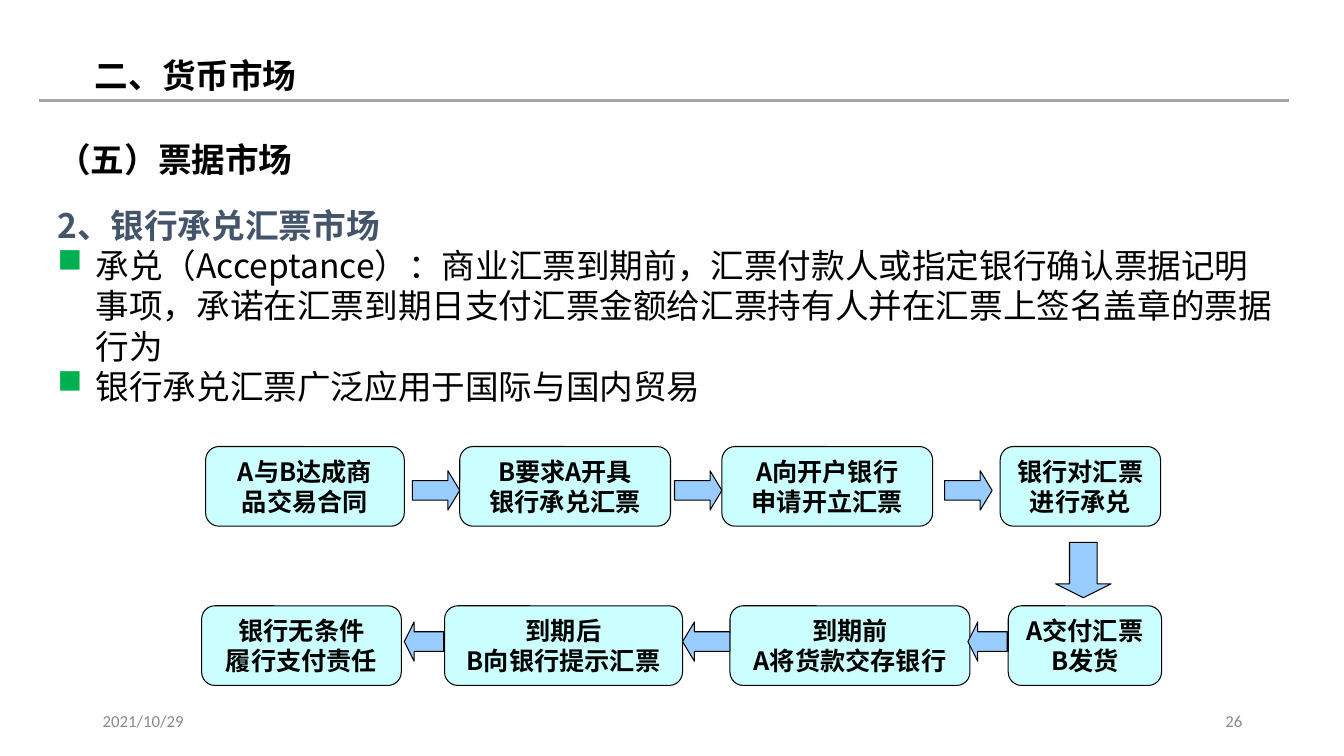
from lxml import etree
from pptx import Presentation
from pptx.dml.color import RGBColor
from pptx.enum.shapes import MSO_CONNECTOR, MSO_SHAPE
from pptx.enum.text import MSO_ANCHOR, PP_ALIGN
from pptx.oxml.ns import qn
from pptx.util import Pt

BLACK = RGBColor(0x00, 0x00, 0x00)
SLATE = RGBColor(0x44, 0x54, 0x6A)
GREY = RGBColor(0x89, 0x89, 0x89)
RULE_GREY = RGBColor(0xA6, 0xA6, 0xA6)
BULLET_GREEN = RGBColor(0x00, 0xB0, 0x50)
STEP_FILL = RGBColor(0xCC, 0xFF, 0xFF)
ARROW_FILL = RGBColor(0x99, 0xCC, 0xFF)

ROUNDED = MSO_SHAPE.ROUNDED_RECTANGLE
RIGHT_ARROW = MSO_SHAPE.RIGHT_ARROW
LEFT_ARROW = MSO_SHAPE.LEFT_ARROW
DOWN_ARROW = MSO_SHAPE.DOWN_ARROW
STRAIGHT = MSO_CONNECTOR.STRAIGHT
LEFT, CENTER, RIGHT = PP_ALIGN.LEFT, PP_ALIGN.CENTER, PP_ALIGN.RIGHT
TOP, MIDDLE = MSO_ANCHOR.TOP, MSO_ANCHOR.MIDDLE

EMU_PER_PX = 9144
CHINESE_FONT = "Noto Sans CJK SC"
LATIN_FONT = "Calibri"
STEP_HEIGHT = 79


def px(*lengths):
    return [length * EMU_PER_PX for length in lengths]


class SlideBuilder:
    def __init__(self, presentation):
        self.slide = presentation.slides.add_slide(presentation.slide_layouts[5])

    def style(self, paragraph, size, color=BLACK, bold=False, font=CHINESE_FONT):
        for run in paragraph.runs:
            run.font.size = Pt(size)
            run.font.bold = bold
            run.font.color.rgb = color
            run.font.name = font
            east_asian = etree.SubElement(run.font._element, qn("a:ea"))
            east_asian.set("typeface", font)

    def title(self, text, box):
        title = self.slide.shapes.title
        title.left, title.top, title.width, title.height = px(*box)
        frame = title.text_frame
        frame.text = text
        frame.vertical_anchor = TOP
        frame.paragraphs[0].alignment = LEFT
        self.style(frame.paragraphs[0], 24, bold=True)

    def text(self, text, box, size, color=BLACK, bold=False, font=CHINESE_FONT,
             alignment=LEFT, anchor=TOP, wrap=True):
        frame = self.slide.shapes.add_textbox(*px(*box)).text_frame
        frame.word_wrap = wrap
        frame.vertical_anchor = anchor
        frame.text = text
        for paragraph in frame.paragraphs:
            paragraph.alignment = alignment
            self.style(paragraph, size, color, bold, font)
        return frame

    def bullet(self, paragraph, indent):
        properties = paragraph._p.get_or_add_pPr()
        properties.set("marL", str(indent * EMU_PER_PX))
        properties.set("indent", str(-indent * EMU_PER_PX))
        color = etree.SubElement(properties, qn("a:buClr"))
        etree.SubElement(color, qn("a:srgbClr")).set("val", str(BULLET_GREEN))
        etree.SubElement(properties, qn("a:buChar")).set("char", "■")

    def rule(self, left, right, y):
        line = self.slide.shapes.add_connector(STRAIGHT, *px(left, y, right, y))
        line.line.color.rgb = RULE_GREY
        line.line.width = Pt(2.25)
        etree.SubElement(line._element.spPr, qn("a:effectLst"))

    def shape(self, kind, box, fill):
        shape = self.slide.shapes.add_shape(kind, *px(*box))
        shape.shadow.inherit = False
        shape.fill.solid()
        shape.fill.fore_color.rgb = fill
        shape.line.color.rgb = BLACK
        shape.line.width = Pt(0.75)
        return shape

    def step(self, text, left, top, width):
        frame = self.shape(ROUNDED, (left, top, width, STEP_HEIGHT), STEP_FILL).text_frame
        frame.word_wrap = False
        frame.vertical_anchor = MIDDLE
        frame.margin_left, frame.margin_right = px(2, 2)
        frame.text = text
        for paragraph in frame.paragraphs:
            paragraph.alignment = CENTER
            self.style(paragraph, 18, bold=True)

    def arrow(self, kind, left, top, width, height):
        arrow = self.shape(kind, (left, top, width, height), ARROW_FILL)
        arrow.adjustments[1] = 0.25 * max(width, height) / height


def main():
    presentation = Presentation()
    presentation.slide_width, presentation.slide_height = px(1333, 750)
    builder = SlideBuilder(presentation)

    builder.title("二、货币市场", (84, 49, 667, 51))
    builder.rule(39, 1278, 100)
    section = builder.text("（五）票据市场", (47, 125, 256, 59), 24, bold=True, wrap=False)
    section.paragraphs[0].line_spacing = 1.2

    body = builder.text(
        "2、银行承兑汇票市场\n"
        "承兑（Acceptance）：商业汇票到期前，汇票付款人或指定银行确认票据记明事项，"
        "承诺在汇票到期日支付汇票金额给汇票持有人并在汇票上签名盖章的票据行为\n"
        "银行承兑汇票广泛应用于国际与国内贸易",
        (47, 188, 1231, 222), 24)
    heading, *points = body.paragraphs
    heading.line_spacing = Pt(36)
    heading.runs[0].font.bold = True
    heading.runs[0].font.color.rgb = SLATE
    for point in points:
        builder.bullet(point, 38)

    steps = {
        443: [("A与B达成商\n品交易合同", 204, 197), ("B要求A开具\n银行承兑汇票", 456, 209),
              ("A向开户银行\n申请开立汇票", 716, 209), ("银行对汇票\n进行承兑", 992, 159)],
        601: [("A交付汇票\nB发货", 1000, 152), ("到期前\nA将货款交存银行", 724, 238),
              ("到期后\nB向银行提示汇票", 441, 236), ("银行无条件\n履行支付责任", 200, 198)],
    }
    for top, row in steps.items():
        for text, left, width in row:
            builder.step(text, left, top, width)

    for left in (409, 669, 937):
        builder.arrow(RIGHT_ARROW, left, 467, 47, 39)
    builder.arrow(DOWN_ARROW, 1047, 538, 55, 55)
    for left, width in ((960, 39), (677, 47), (401, 39)):
        builder.arrow(LEFT_ARROW, left, 617, width, 39)

    for text, left, alignment in (("2021/10/29", 92, LEFT), ("26", 942, RIGHT)):
        builder.text(text, (left, 695, 300, 40), 12, GREY, font=LATIN_FONT,
                     alignment=alignment, anchor=MIDDLE)

    presentation.save("out.pptx")


if __name__ == "__main__":
    main()
